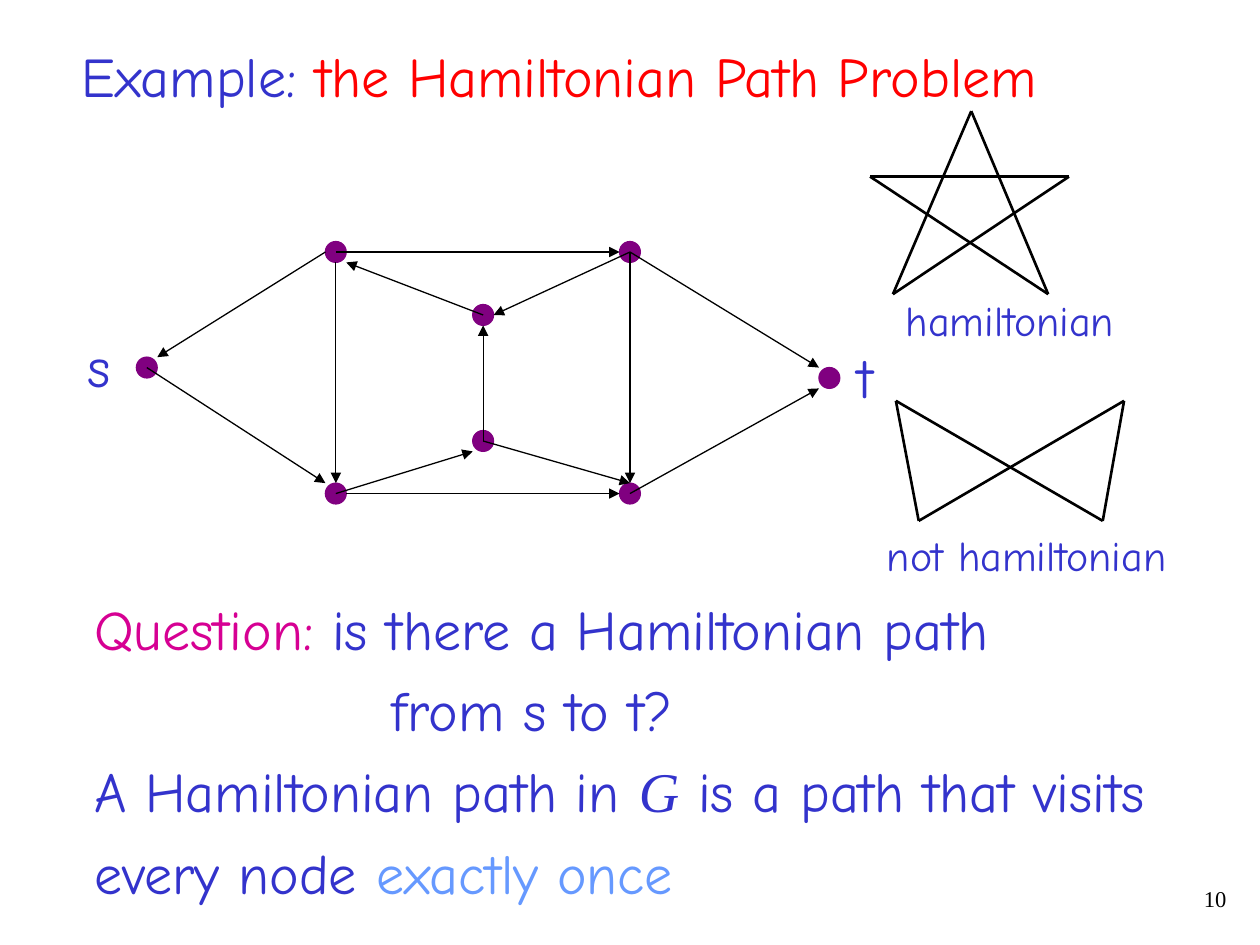
from lxml import etree
from pptx import Presentation
from pptx.dml.color import RGBColor
from pptx.enum.shapes import MSO_CONNECTOR, MSO_SHAPE
from pptx.enum.text import MSO_AUTO_SIZE, PP_ALIGN
from pptx.oxml.ns import qn
from pptx.util import Cm, Pt

STRAIGHT = MSO_CONNECTOR.STRAIGHT
OVAL = MSO_SHAPE.OVAL
FIT_SHAPE = MSO_AUTO_SIZE.SHAPE_TO_FIT_TEXT
LEFT, RIGHT = PP_ALIGN.LEFT, PP_ALIGN.RIGHT

COLORS = {
    "black": "000000", "blue": "3333CC", "red": "FF0000",
    "magenta": "D60093", "sky": "6699FF", "purple": "800080",
}
BODY_FONT, SERIF_FONT = "Comic Neue", "Times New Roman"
RADIUS = 0.21

NODES = {
    "s": (2.96, 7.41), "upper left": (6.77, 5.08), "lower left": (6.77, 9.95),
    "t": (16.72, 7.62), "lower right": (12.7, 9.95), "upper right": (12.7, 5.08),
    "inner low": (9.74, 8.89), "inner high": (9.74, 6.35),
}
CENTER = (0, 0)
EDGES = [
    ("upper left", (-1, 0), "s", (1, -1)),
    ("s", CENTER, "lower left", (-1, -1)),
    ("upper left", (0, 1), "lower left", (0, -1)),
    ("upper left", CENTER, "upper right", (-1, 0)),
    ("lower left", (1, 0), "lower right", (-1, 0)),
    ("lower right", CENTER, "t", (-1, 1)),
    ("upper right", CENTER, "t", (-1, -1)),
    ("inner high", CENTER, "upper left", (1, 1)),
    ("upper right", CENTER, "inner high", (1, 0)),
    ("inner low", CENTER, "inner high", (0, 1)),
    ("lower left", CENTER, "inner low", (-1, 1)),
    ("inner low", CENTER, "lower right", (0, -1)),
    ("upper right", CENTER, "lower right", (0, -1)),
]
STAR = [(19.58, 2.24), (21.13, 5.93), (17.54, 3.56), (21.55, 3.56), (18, 5.93)]
BOW_TIE = [(18.06, 8.08), (22.23, 10.5), (22.66, 8.08), (18.52, 10.5)]


def rgb(name):
    """Return the named colour."""
    return RGBColor.from_string(COLORS[name])


def add_text(s, box, paragraphs, size=32, font=BODY_FONT, color="blue", before=8,
             align=LEFT, wrap=False, spacing=None, indents=()):
    """Add a text box; a run is text or a (text, format) pair."""
    tf = s.shapes.add_textbox(*map(Cm, box)).text_frame
    tf.word_wrap = wrap
    tf.auto_size = FIT_SHAPE
    for i, runs in enumerate(paragraphs):
        p = tf.add_paragraph() if i else tf.paragraphs[0]
        p.alignment = align
        p.line_spacing = spacing
        if i:
            p.space_before = Pt(before)
        if i in indents:
            p._p.get_or_add_pPr().set("marL", str(Cm(6)))
        for run in runs:
            text, fmt = (run, {}) if isinstance(run, str) else run
            r = p.add_run()
            r.text = text
            r.font.size = Pt(size)
            r.font.name = fmt.get("font", font)
            r.font.italic = fmt.get("italic", False)
            r.font.color.rgb = rgb(fmt.get("color", color))


def add_node(s, x, y):
    """Add a graph node centred at x, y."""
    sp = s.shapes.add_shape(OVAL, Cm(x - RADIUS), Cm(y - RADIUS),
                            Cm(2 * RADIUS), Cm(2 * RADIUS))
    sp.shadow.inherit = False
    sp.fill.solid()
    sp.fill.fore_color.rgb = rgb("purple")
    sp.line.color.rgb = rgb("purple")
    sp.line.width = Pt(0.75)


def add_line(s, start, end, width=1.5, arrow=False):
    """Add a straight black line, with an arrowhead at its end if asked."""
    line = s.shapes.add_connector(STRAIGHT, *map(Cm, (*start, *end)))
    line.line.color.rgb = rgb("black")
    line.line.width = Pt(width)
    if arrow:
        ln = line.line._get_or_add_ln()
        etree.SubElement(ln, qn("a:tailEnd"), type="triangle", w="med", len="med")
    etree.SubElement(line._element.spPr, qn("a:effectLst"))


def node_point(name, side):
    """Return the point on a node's bounding square in the given direction."""
    return [c + RADIUS * d for c, d in zip(NODES[name], side)]


def add_loop(s, points):
    """Join points in order with a closed loop of lines."""
    for start, end in zip(points, points[1:] + points[:1]):
        add_line(s, start, end)


def main():
    """Build the slide."""
    prs = Presentation()
    prs.slide_width, prs.slide_height = Cm(25.4), Cm(19.05)
    s = prs.slides.add_slide(prs.slide_layouts[6])

    add_text(s, (19.69, 17.78, 5.28, 0.84), [["10"]], size=12.9, font=SERIF_FONT,
             color="black", align=RIGHT, wrap=True, spacing=0.9)
    add_text(s, (1.4, 0.71, 19.89, 1.63),
             [["Example: ", ("the Hamiltonian Path Problem", {"color": "red"})]])
    add_text(s, (1.65, 11.86, 22.1, 6.53), [
        [("Question:", {"color": "magenta"}), " is there a Hamiltonian path"],
        ["from s to t?"],
        ["A Hamiltonian path in ", ("G", {"font": SERIF_FONT, "italic": True}),
         " is a path that visits"],
        ["every node ", ("exactly once", {"color": "sky"})],
    ], indents=(1,))

    for x, y in NODES.values():
        add_node(s, x, y)
    for tail, tail_side, head, head_side in EDGES:
        add_line(s, node_point(tail, tail_side), node_point(head, head_side),
                 width=0.75, arrow=True)
    add_text(s, (1.52, 6.55, 0.97, 1.63), [["s"]])
    add_text(s, (17.04, 6.78, 0.81, 1.63), [["t"]])

    add_loop(s, STAR)
    add_loop(s, BOW_TIE)
    add_text(s, (18.01, 5.82, 4.72, 1.27), [["hamiltonian"]], size=24)
    add_text(s, (17.63, 10.54, 6.99, 1.27), [["not hamiltonian"]], size=24, wrap=True)

    prs.save("out.pptx")


if __name__ == "__main__":
    main()
